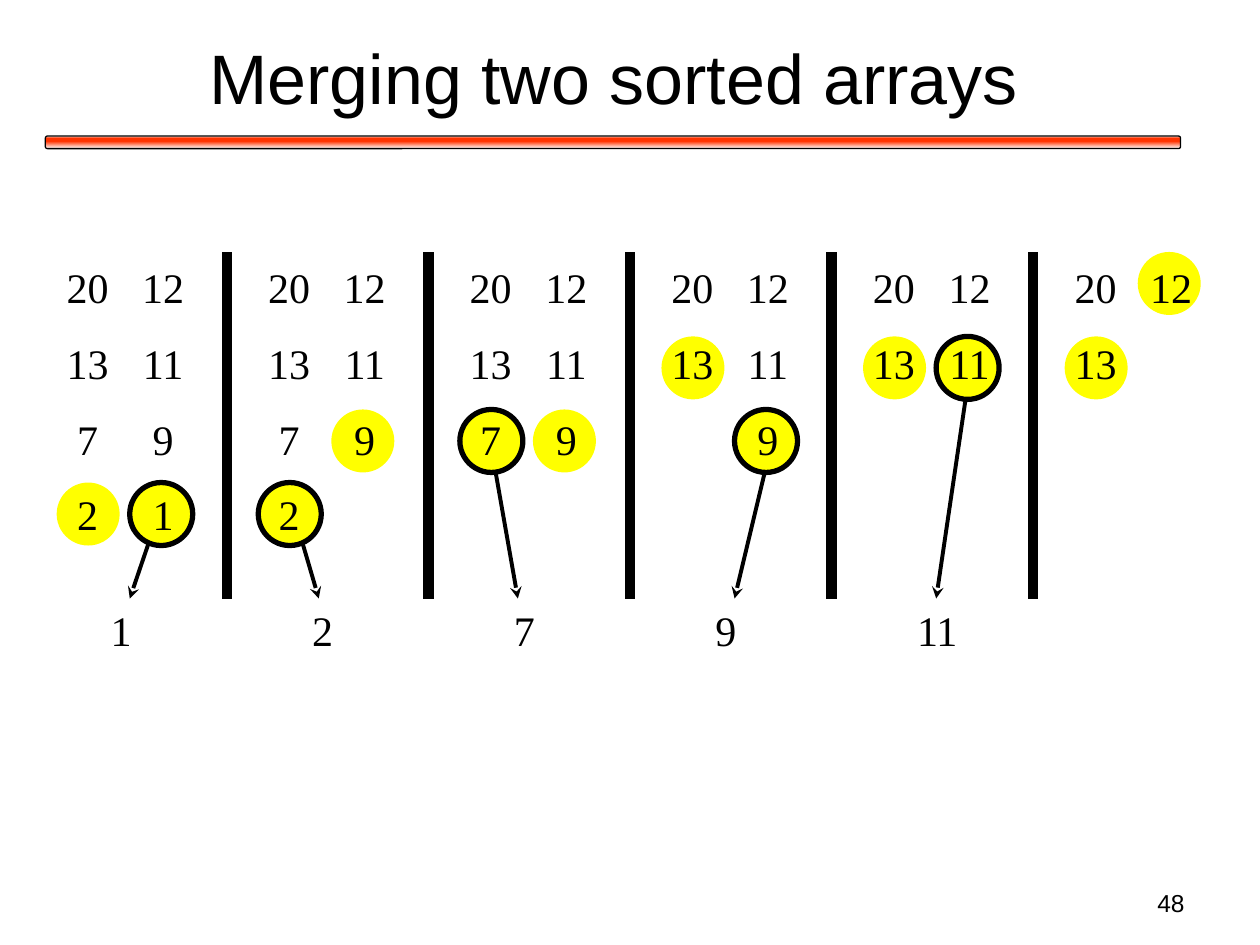
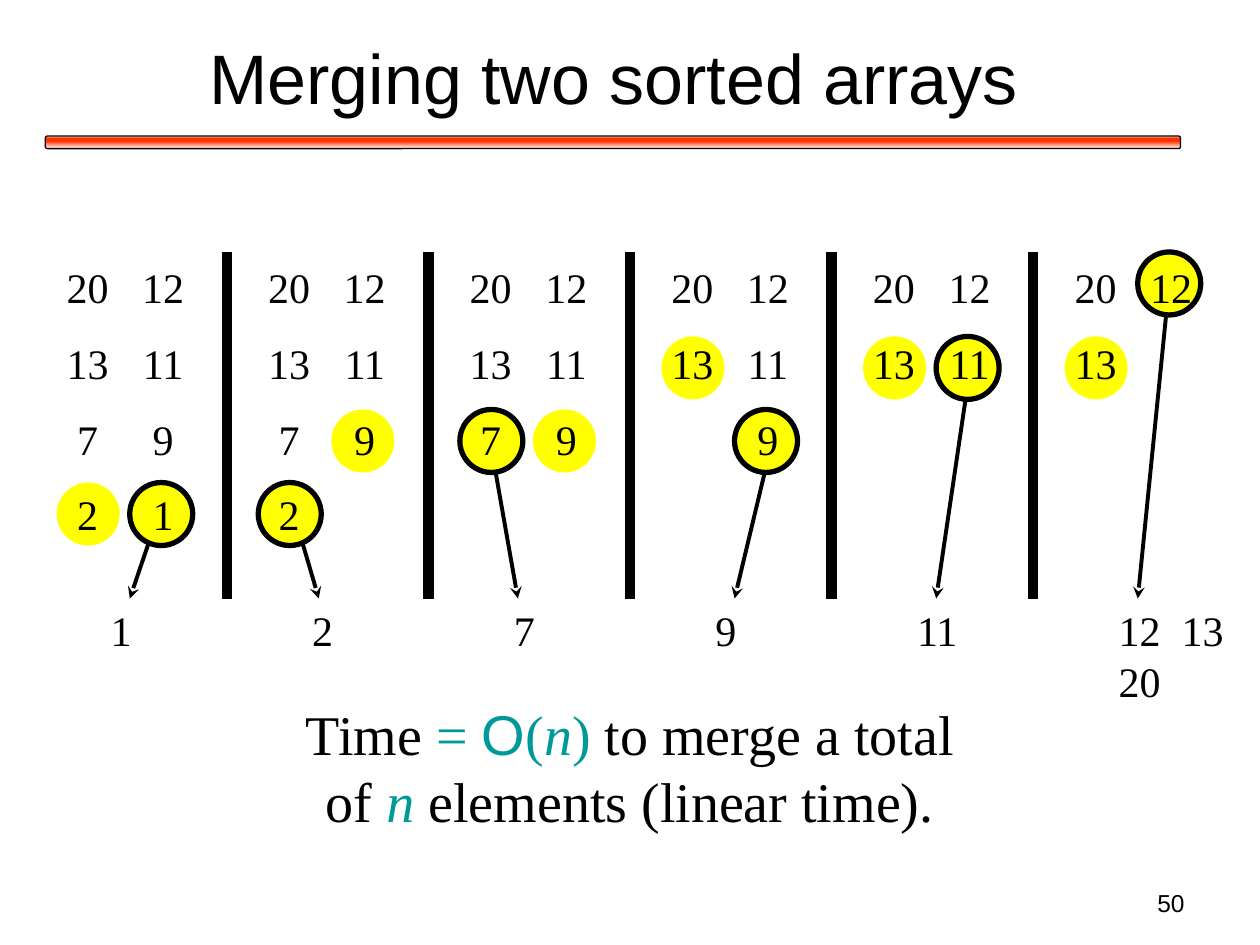
from lxml import etree
from pptx import Presentation
from pptx.dml.color import RGBColor
from pptx.enum.shapes import MSO_CONNECTOR, MSO_SHAPE
from pptx.enum.text import MSO_ANCHOR, MSO_AUTO_SIZE, PP_ALIGN
from pptx.oxml.ns import qn
from pptx.util import Inches, Pt

ELLIPSE, ROUNDED = MSO_SHAPE.OVAL, MSO_SHAPE.ROUNDED_RECTANGLE
STRAIGHT = MSO_CONNECTOR.STRAIGHT
LEFT, CENTER, RIGHT = PP_ALIGN.LEFT, PP_ALIGN.CENTER, PP_ALIGN.RIGHT
TOP, MIDDLE = MSO_ANCHOR.TOP, MSO_ANCHOR.MIDDLE
GROW = MSO_AUTO_SIZE.SHAPE_TO_FIT_TEXT

COLORS = {"black": "000000", "white": "FFFFFF", "red": "FF3300",
          "yellow": "FFFF00", "teal": "009999"}
SANS, SERIF = "Arial", "Times New Roman"
BAND_STOPS = [(0, "white"), (16, "red"), (42, "red"), (100, "white")]

ARRAYS = ([20, 13, 7, 2], [12, 11, 9, 1])
STEP_COUNT = 6
STEP_WIDTH = 1.6
NUMBER_LEFTS = (0.43, 1.03)
CIRCLE_LEFTS = (0.45, 1.03)
CIRCLE_TOPS = (2, 2.67, 3.25, 3.83)
CIRCLE_SIZE = 0.5
RESULT_TOP = 4.75
# Start x, start y and end x of the arrow in each step
ARROWS = [(1.2, 4.25, 1.03), (2.36, 4.17, 2.53), (3.86, 3.33, 4.11),
          (6.11, 3.58, 5.83), (7.7, 2.92, 7.43), (9.28, 2.25, 9.03)]
TIME_RUNS = [("Time ", {}), ("= ", {"color": "teal"}),
             ("Ο", {"color": "teal", "font": SANS}), ("(", {"color": "teal"}),
             ("n", {"color": "teal", "italic": True}), (") ", {"color": "teal"}),
             ("to merge a total of ", {}), ("n", {"color": "teal", "italic": True}),
             (" elements (linear time).", {})]


def rgb(name):
    return RGBColor.from_string(COLORS[name])


class Deck:
    def __init__(self):
        self.presentation = Presentation()
        self.presentation.slide_width = Inches(10)
        self.presentation.slide_height = Inches(7.5)
        self.slide = None

    def start_slide(self, title, number):
        self.slide = self.presentation.slides.add_slide(self.presentation.slide_layouts[6])
        self.band()
        self.text(0.37, 0.11, 9, 0.99, [[(title, {})]], size=40, font=SANS,
                  align=CENTER, anchor=MIDDLE, wrap=True)
        self.text(7.17, 7, 2.33, 0.35, [[(str(number), {})]], size=14, font=SANS,
                  align=RIGHT, wrap=True)

    def shape(self, kind, left, top, width, height, line_width=None):
        shape = self.slide.shapes.add_shape(
            kind, Inches(left), Inches(top), Inches(width), Inches(height))
        shape.shadow.inherit = False
        if line_width:
            shape.line.color.rgb = rgb("black")
            shape.line.width = Pt(line_width)
        else:
            shape.line.fill.background()
        return shape

    def band(self):
        band = self.shape(ROUNDED, 0.36, 1.08, 9.01, 0.1, 0.75)
        band.fill.gradient()
        band.fill.gradient_angle = 270
        stops = band._element.spPr.find(".//" + qn("a:gsLst"))
        stops.clear()
        for percent, name in BAND_STOPS:
            stop = etree.SubElement(stops, qn("a:gs"), pos=str(percent * 1000))
            etree.SubElement(stop, qn("a:srgbClr"), val=COLORS[name])

    def circle(self, left, top, ringed):
        circle = self.shape(ELLIPSE, left, top, CIRCLE_SIZE, CIRCLE_SIZE,
                            3 if ringed else None)
        circle.fill.solid()
        circle.fill.fore_color.rgb = rgb("yellow")

    def line(self, start, end, width, arrow=False):
        line = self.slide.shapes.add_connector(STRAIGHT, *map(Inches, start + end))
        line.line.color.rgb = rgb("black")
        line.line.width = Pt(width)
        if arrow:
            etree.SubElement(line.line._get_or_add_ln(), qn("a:tailEnd"), type="stealth")
        etree.SubElement(line._element.spPr, qn("a:effectLst"))

    def text(self, left, top, width, height, paragraphs, size=24, font=SERIF,
             align=LEFT, anchor=TOP, wrap=False, spacing=None):
        """Add a text box; each paragraph is a list of (text, style) runs."""
        box = self.slide.shapes.add_textbox(
            Inches(left), Inches(top), Inches(width), Inches(height))
        frame = box.text_frame
        frame.word_wrap = wrap
        frame.vertical_anchor = anchor
        if not wrap:
            frame.auto_size = GROW
        for index, runs in enumerate(paragraphs):
            paragraph = frame.add_paragraph() if index else frame.paragraphs[0]
            paragraph.alignment = align
            if spacing:
                paragraph.line_spacing = spacing
            for content, style in runs:
                run = paragraph.add_run()
                run.text = content
                run.font.size = Pt(size)
                run.font.name = style.get("font", font)
                run.font.italic = style.get("italic", False)
                run.font.color.rgb = rgb(style.get("color", "black"))
        return frame

    def numbers(self, left, top, width, height, values, **options):
        return self.text(left, top, width, height,
                         [[(str(value), {})] for value in values], **options)

    def remaining_results(self):
        """List the last outputs, the first two on one line by numbering from 12."""
        frame = self.numbers(8.78, RESULT_TOP, 1.04, 0.91, [13, 20])
        properties = frame.paragraphs[0]._p.get_or_add_pPr()
        properties.set("marL", str(Inches(0.5)))
        properties.set("indent", str(-Inches(0.5)))
        etree.SubElement(properties, qn("a:buAutoNum"), type="arabicPlain", startAt="12")

    def merge_steps(self, finished):
        """Draw every step; the last one is resolved only when finished."""
        arrays = [list(array) for array in ARRAYS]
        for step in range(STEP_COUNT):
            offset = step * STEP_WIDTH
            last = step == STEP_COUNT - 1
            resolved = finished or not last
            smallest = min(array[-1] for array in arrays)
            if resolved:
                start_x, start_y, end_x = ARROWS[step]
                self.line((start_x, start_y), (end_x, RESULT_TOP), 2.25, arrow=True)
            for array, circle_left, number_left in zip(arrays, CIRCLE_LEFTS, NUMBER_LEFTS):
                self.circle(circle_left + offset, CIRCLE_TOPS[len(array) - 1],
                            resolved and array[-1] == smallest)
                self.numbers(number_left + offset, 1.83, 0.53, 0.1 + 0.6 * len(array),
                             array, align=CENTER, spacing=1.5)
            if not last:
                self.numbers(0.78 + offset, RESULT_TOP, 0.37 if smallest < 10 else 0.53,
                             0.5, [smallest])
                divider = 1.8 + offset
                self.line((divider, 2), (divider, RESULT_TOP), 6)
            elif finished:
                self.remaining_results()
            for array in arrays:
                if array[-1] == smallest:
                    array.pop()


def main():
    deck = Deck()
    for number, finished in ((48, False), (50, True)):
        deck.start_slide("Merging two sorted arrays", number)
        deck.merge_steps(finished)
    deck.text(2.24, 5.5, 5.52, 1.17, [TIME_RUNS], size=32, align=CENTER, wrap=True)
    deck.presentation.save("out.pptx")


if __name__ == "__main__":
    main()
